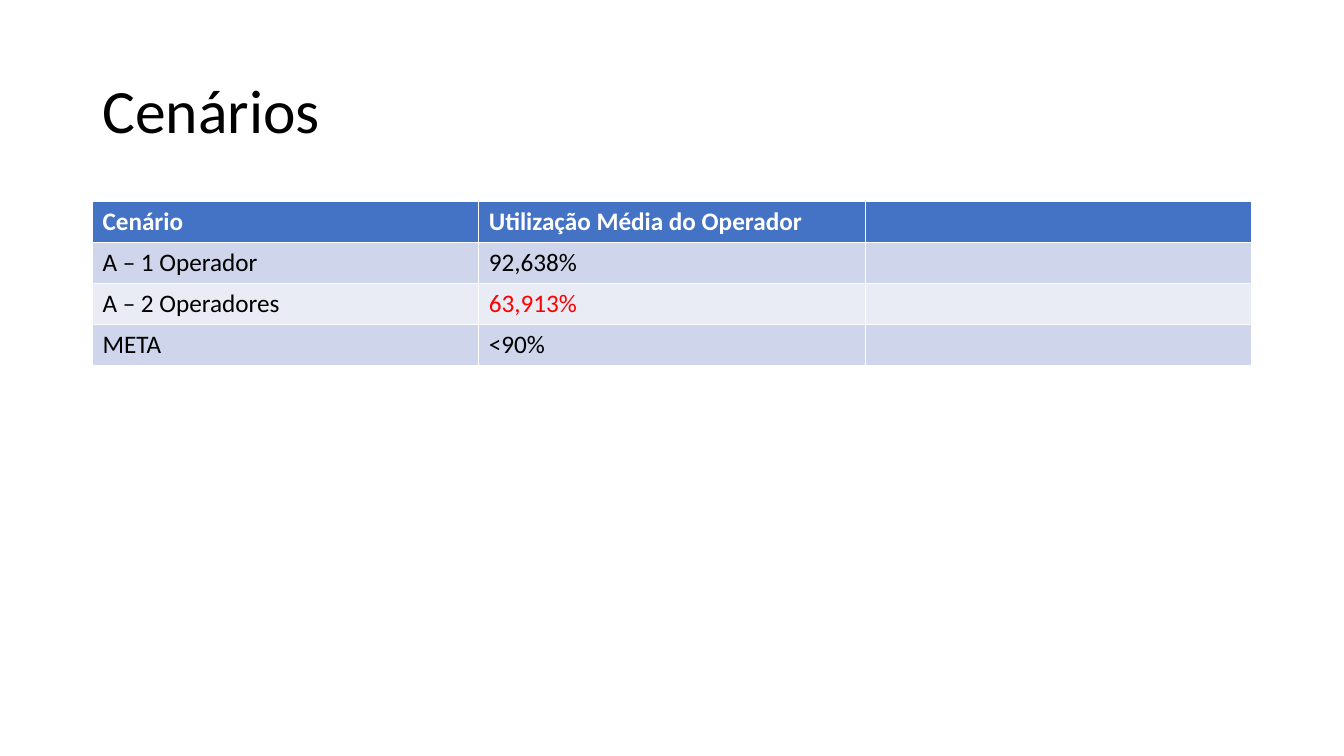
from dataclasses import dataclass

from pptx import Presentation
from pptx.dml.color import RGBColor as RGB
from pptx.enum.text import MSO_ANCHOR as Anchor, PP_ALIGN as Align
from pptx.util import Cm, Pt


@dataclass(frozen=True)
class Theme:
    font: str = "Calibri"
    title_size: Pt = Pt(44)
    table_size: Pt = Pt(18)
    text: RGB = RGB(0, 0, 0)
    header_text: RGB = RGB(255, 255, 255)
    highlight: RGB = RGB(255, 0, 0)
    header_fill: RGB = RGB(0x44, 0x72, 0xC4)
    odd_fill: RGB = RGB(0xCF, 0xD5, 0xEA)
    even_fill: RGB = RGB(0xE9, 0xEB, 0xF5)


theme = Theme()


def style_text(paragraph, size, color, bold=False):
    for run in paragraph.runs:
        font = run.font
        font.name, font.size, font.bold = theme.font, size, bold
        font.color.rgb = color


# Slide
deck = Presentation()
deck.slide_width, deck.slide_height = Cm(33.87), Cm(19.05)
slide = deck.slides.add_slide(deck.slide_layouts[5])
left, width = Cm(2.33), Cm(29.21)

# Title
title = slide.shapes.title
title.left, title.top, title.width, title.height = left, Cm(1.01), width, Cm(3.68)
title.text_frame.text = "Cenários"
title.text_frame.vertical_anchor = Anchor.MIDDLE
heading = title.text_frame.paragraphs[0]
heading.alignment = Align.LEFT
heading.line_spacing = 0.9
style_text(heading, theme.title_size, theme.text)

# Scenario table: the built-in style supplies the white rules
scenarios = [
    ("Cenário", "Utilização Média do Operador", ""),
    ("A – 1 Operador", "92,638%", ""),
    ("A – 2 Operadores", "63,913%", ""),
    ("META", "<90%", ""),
]
best_utilization = (2, 1)
row_height = Cm(1.03)
table = slide.shapes.add_table(
    len(scenarios), len(scenarios[0]), left, Cm(5.08), width, row_height * len(scenarios)
).table

for row, values in enumerate(scenarios):
    if row == 0:
        fill, row_color = theme.header_fill, theme.header_text
    else:
        fill = theme.odd_fill if row % 2 else theme.even_fill
        row_color = theme.text
    for column, value in enumerate(values):
        cell = table.cell(row, column)
        cell.fill.solid()
        cell.fill.fore_color.rgb = fill
        color = theme.highlight if (row, column) == best_utilization else row_color
        cell.text_frame.text = value
        style_text(cell.text_frame.paragraphs[0], theme.table_size, color, bold=row == 0)

deck.save("out.pptx")
